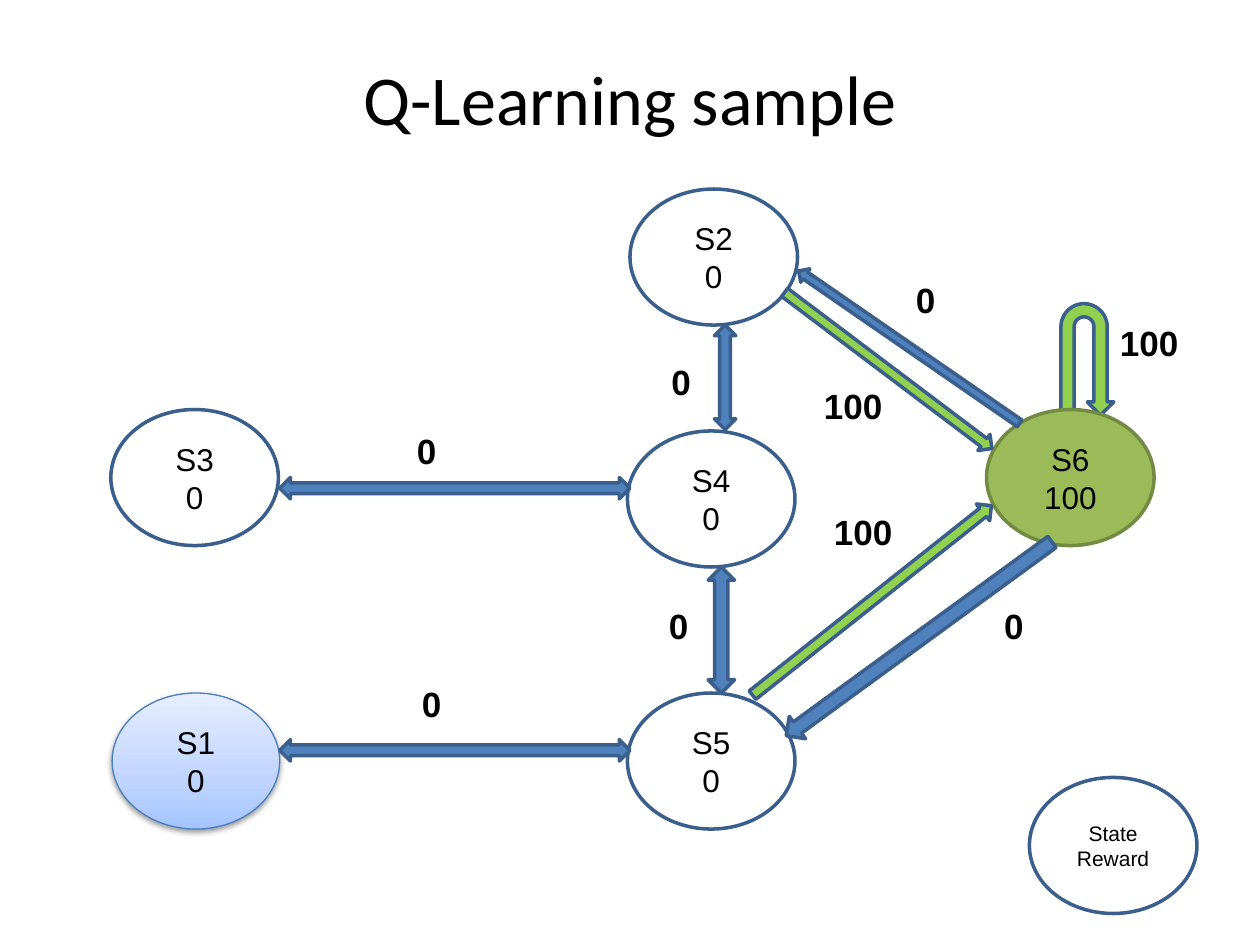
"""Draw the Q-learning state graph with its rewards."""
import copy

import lxml.etree
import pptx
import pptx.dml.color
import pptx.enum.shapes
import pptx.enum.text
import pptx.oxml
import pptx.oxml.ns
import pptx.util

Inches = pptx.util.Inches
SHAPE = pptx.enum.shapes.MSO_SHAPE
ALIGN = pptx.enum.text.PP_ALIGN
ANCHOR = pptx.enum.text.MSO_ANCHOR

BLACK, WHITE, OUTLINE = "000000", "FFFFFF", "3A5F8C"
BLUE, GREEN = "4F81BD", "92D050"
STATE_WIDTH, STATE_HEIGHT = 1.33, 1.08


def rgb(value):
    """Turn a hex string into a colour."""
    return pptx.dml.color.RGBColor.from_string(value)


def write(frame, text, size, font="Arial", bold=False, align=ALIGN.CENTER):
    """Put text into a frame and format every run."""
    frame.word_wrap = True
    frame.text = text
    for paragraph in frame.paragraphs:
        paragraph.alignment = align
        for run in paragraph.runs:
            run.font.size = pptx.util.Pt(size)
            run.font.name = font
            run.font.bold = bold
            run.font.color.rgb = rgb(BLACK)


def add_outlined(slide, preset, box, fill, line=OUTLINE, weight=2):
    """Add a filled and outlined preset shape without a shadow."""
    shape = slide.shapes.add_shape(preset, *map(Inches, box))
    shape.shadow.inherit = False
    shape.fill.solid()
    shape.fill.fore_color.rgb = rgb(fill)
    shape.line.color.rgb = rgb(line)
    shape.line.width = pptx.util.Pt(weight)
    return shape


def add_state(slide, left, top, name, reward, size=18, fill=WHITE, line=OUTLINE, weight=2):
    """Add a state ellipse holding its name and reward."""
    box = (left, top, STATE_WIDTH, STATE_HEIGHT)
    state = add_outlined(slide, SHAPE.FLOWCHART_CONNECTOR, box, fill, line, weight)
    state.text_frame.vertical_anchor = ANCHOR.MIDDLE
    write(state.text_frame, f"{name}\n{reward}", size)
    return state


def mark_start(state):
    """Give the start state its gradient and soft shadow."""
    state.fill.gradient()
    state.fill.gradient_angle = 90
    first = state.element.spPr.find(".//" + pptx.oxml.ns.qn("a:gs"))
    first.addnext(copy.deepcopy(first))
    tones = ((0, "A4C4FF"), (0.35, "BFD4FF"), (1, "E6EEFF"))
    for stop, (position, tone) in zip(state.fill.gradient_stops, tones):
        stop.position = position
        stop.color.rgb = rgb(tone)
    effects = state.element.spPr.find(pptx.oxml.ns.qn("a:effectLst"))
    effects.append(pptx.oxml.parse_xml(
        f'<a:outerShdw {pptx.oxml.ns.nsdecls("a")} blurRad="40000" dist="20000" '
        'dir="5400000" rotWithShape="0"><a:srgbClr val="000000">'
        '<a:alpha val="38000"/></a:srgbClr></a:outerShdw>'))


def add_arrow(slide, preset, box, fill=BLUE, rotation=0):
    """Add a block arrow for a transition."""
    add_outlined(slide, preset, box, fill).rotation = rotation


def add_reward(slide, left, top, reward, width=0.42):
    """Add the bold reward label of a transition."""
    label = slide.shapes.add_textbox(*map(Inches, (left, top, width, 0.44)))
    write(label.text_frame, reward, 20, bold=True, align=ALIGN.LEFT)


def add_title(slide, text):
    """Add the centred heading."""
    title = slide.shapes.add_textbox(*map(Inches, (0.5, 0.3, 9, 0.95)))
    frame = title.text_frame
    frame.margin_left = frame.margin_right = frame.margin_top = frame.margin_bottom = 0
    frame.vertical_anchor = ANCHOR.MIDDLE
    write(frame, text, 40, font="Calibri")


def main():
    """Build and save the slide."""
    deck = pptx.Presentation()
    deck.slide_width, deck.slide_height = Inches(10), Inches(7.5)
    slide = deck.slides.add_slide(deck.slide_layouts[6])
    add_title(slide, "Q-Learning sample")

    mark_start(add_state(slide, 0.89, 5.5, "S1", 0, line="4B7EBC", weight=0.75))
    for name, left, top in (("S4", 4.98, 3.42), ("S2", 5, 1.5),
                            ("S3", 0.88, 3.25), ("S5", 4.98, 5.5)):
        add_state(slide, left, top, name, 0)

    for top in (3.79, 5.87):
        add_arrow(slide, SHAPE.LEFT_RIGHT_ARROW, (2.22, top, 2.78, 0.17))
    for box in ((5.67, 2.58, 0.17, 0.83), (5.62, 4.5, 0.21, 1)):
        add_arrow(slide, SHAPE.UP_DOWN_ARROW, box)
    add_arrow(slide, SHAPE.U_TURN_ARROW, (8.42, 2.41, 0.42, 1.18), GREEN)

    add_state(slide, 7.83, 3.25, "S6", 100, fill="9BBB59", line="738A42")
    for box, fill, rotation in (((6.02, 2.86, 2.06, 0.16), GREEN, 217),
                                ((5.71, 4.68, 2.42, 0.17), GREEN, 141.6),
                                ((6.15, 2.69, 2.13, 0.13), BLUE, 34.6),
                                ((5.99, 4.96, 2.61, 0.22), BLUE, 323.9)):
        add_arrow(slide, SHAPE.LEFT_ARROW, box, fill, rotation)

    for left, top in ((3.25, 5.37), (3.21, 3.36), (5.21, 4.75),
                      (5.23, 2.81), (7.17, 2.16), (7.87, 4.75)):
        add_reward(slide, left, top, "0")
    for left, top in ((6.44, 3), (6.52, 4), (8.79, 2.5)):
        add_reward(slide, left, top, "100", width=0.75)

    add_state(slide, 8.17, 6.17, "State", "Reward", size=12)
    deck.save("out.pptx")


if __name__ == "__main__":
    main()
